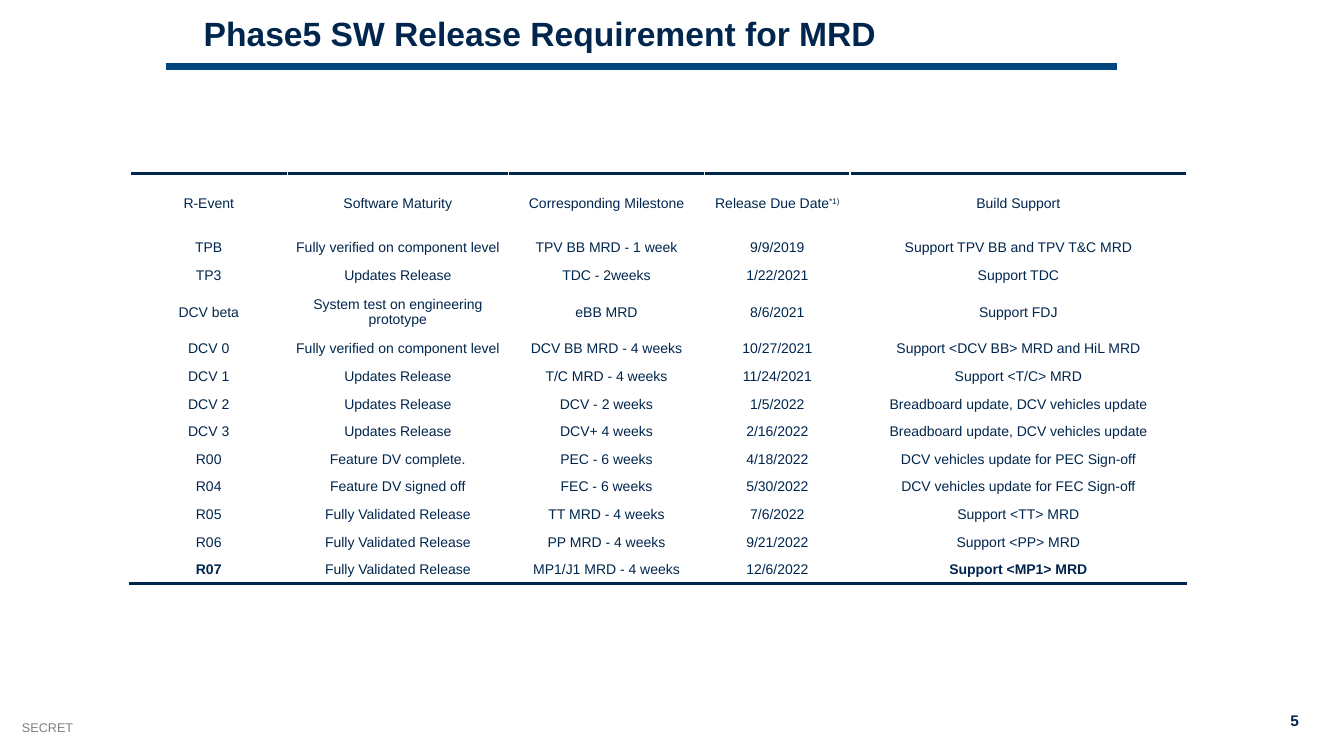
from lxml import etree
from pptx import Presentation
from pptx.dml.color import RGBColor
from pptx.enum.shapes import MSO_CONNECTOR
from pptx.enum.text import MSO_ANCHOR, MSO_AUTO_SIZE, PP_ALIGN
from pptx.oxml.ns import qn
from pptx.util import Inches, Pt

LEFT, CENTER, RIGHT = PP_ALIGN.LEFT, PP_ALIGN.CENTER, PP_ALIGN.RIGHT
TOP, MIDDLE = MSO_ANCHOR.TOP, MSO_ANCHOR.MIDDLE
STRAIGHT = MSO_CONNECTOR.STRAIGHT
TITLE_ONLY = 5

COLORS = {"navy": "00264E", "blue": "00457E", "gray": "808080", "white": "FFFFFF"}

TITLE_FORMAT = {"size": Pt(24), "bold": True, "name": "Arial"}
SECRET_FORMAT = {"size": Pt(9), "bold": False, "name": "Arial"}
NUMBER_FORMAT = {"size": Pt(11), "bold": True, "name": "Arial"}
CELL_FORMAT = {"size": Pt(10), "bold": False, "name": "Arial"}

COLUMN_WIDTHS = [1.56, 2.19, 1.95, 1.44, 3.34]
TABLE_HEIGHT, HEADER_HEIGHT, TALL_HEIGHT = 4.07, 0.6, 0.46
TALL_ROW = 3
FOOTNOTE_MARK = "*1)"
BOLD_CELLS = {"R07", "Support <MP1> MRD"}

RELEASES = [
    ["R-Event", "Software Maturity", "Corresponding Milestone",
     "Release Due Date" + FOOTNOTE_MARK, "Build Support"],
    ["TPB", "Fully verified on component level", "TPV BB MRD - 1 week",
     "9/9/2019", "Support TPV BB and TPV T&C MRD"],
    ["TP3", "Updates Release", "TDC - 2weeks", "1/22/2021", "Support TDC"],
    ["DCV beta", "System test on engineering prototype", "eBB MRD",
     "8/6/2021", "Support FDJ"],
    ["DCV 0", "Fully verified on component level", "DCV BB MRD - 4 weeks",
     "10/27/2021", "Support <DCV BB> MRD and HiL MRD"],
    ["DCV 1", "Updates Release", "T/C MRD - 4 weeks", "11/24/2021",
     "Support <T/C> MRD"],
    ["DCV 2", "Updates Release", "DCV - 2 weeks", "1/5/2022",
     "Breadboard update, DCV vehicles update"],
    ["DCV 3", "Updates Release", "DCV+ 4 weeks", "2/16/2022",
     "Breadboard update, DCV vehicles update"],
    ["R00", "Feature DV complete.", "PEC - 6 weeks", "4/18/2022",
     "DCV vehicles update for PEC Sign-off"],
    ["R04", "Feature DV signed off", "FEC - 6 weeks", "5/30/2022",
     "DCV vehicles update for FEC Sign-off"],
    ["R05", "Fully Validated Release", "TT MRD - 4 weeks", "7/6/2022",
     "Support <TT> MRD"],
    ["R06", "Fully Validated Release", "PP MRD - 4 weeks", "9/21/2022",
     "Support <PP> MRD"],
    ["R07", "Fully Validated Release", "MP1/J1 MRD - 4 weeks", "12/6/2022",
     "Support <MP1> MRD"],
]


def color(name):
    return RGBColor.from_string(COLORS[name])


def add_span(para, text, values, color_name):
    span = para.add_run()
    span.text = text
    for key, value in values.items():
        setattr(span.font, key, value)
    span.font.color.rgb = color(color_name)
    return span


def set_title(page, text):
    title = page.shapes.title
    title.left, title.top = Inches(1.92), Inches(0.12)
    title.width, title.height = Inches(11.85), Inches(0.63)
    frame = title.text_frame
    frame.vertical_anchor = TOP
    frame.auto_size = MSO_AUTO_SIZE.NONE
    para = frame.paragraphs[0]
    para.alignment = LEFT
    para.line_spacing = 0.9
    add_span(para, text, TITLE_FORMAT, "navy")


def add_label(page, text, place, values, color_name, alignment):
    box = page.shapes.add_textbox(*[Inches(length) for length in place])
    box.text_frame.word_wrap = True
    para = box.text_frame.paragraphs[0]
    para.alignment = alignment
    add_span(para, text, values, color_name)


def add_rule(page, left, right, top):
    rule = page.shapes.add_connector(
        STRAIGHT, Inches(left), Inches(top), Inches(right), Inches(top))
    rule.line.color.rgb = color("blue")
    rule.line.width = Pt(4.5)
    etree.SubElement(rule._element.spPr, qn("a:effectLst"))


def add_border(cell, side):
    border = etree.Element(qn("a:" + side), w=str(Pt(2)))
    fill = etree.SubElement(border, qn("a:solidFill"))
    etree.SubElement(fill, qn("a:srgbClr"), val=COLORS["navy"])
    cell._tc.get_or_add_tcPr().insert(0, border)


def fill_cell(cell, text):
    cell.fill.solid()
    cell.fill.fore_color.rgb = color("white")
    cell.vertical_anchor = MIDDLE
    for side in ("left", "right", "top", "bottom"):
        setattr(cell, "margin_" + side, 0)
    para = cell.text_frame.paragraphs[0]
    para.alignment = CENTER
    values = {**CELL_FORMAT, "bold": text in BOLD_CELLS}
    add_span(para, text.removesuffix(FOOTNOTE_MARK), values, "navy")
    if text.endswith(FOOTNOTE_MARK):
        mark = add_span(para, FOOTNOTE_MARK, values, "navy")
        mark.font._element.set("baseline", "30000")


def add_release_table(page):
    last = len(RELEASES) - 1
    table = page.shapes.add_table(
        len(RELEASES), len(COLUMN_WIDTHS), Inches(1.29), Inches(1.72),
        Inches(sum(COLUMN_WIDTHS)), Inches(TABLE_HEIGHT)).table
    table.first_row = table.horz_banding = False
    for column, width in zip(table.columns, COLUMN_WIDTHS):
        column.width = Inches(width)

    # The header and the two-line row are taller; the rest share what is left
    special = {0: HEADER_HEIGHT, TALL_ROW: TALL_HEIGHT}
    plain = (TABLE_HEIGHT - sum(special.values())) / (len(RELEASES) - len(special))
    for index, texts in enumerate(RELEASES):
        table.rows[index].height = Inches(special.get(index, plain))
        for cell, text in zip(table.rows[index].cells, texts):
            fill_cell(cell, text)
            if index == 0:
                add_border(cell, "lnT")
            elif index == last:
                add_border(cell, "lnB")


def main():
    deck = Presentation()
    deck.slide_width, deck.slide_height = Inches(13.33), Inches(7.5)
    page = deck.slides.add_slide(deck.slide_layouts[TITLE_ONLY])

    # Footer
    add_label(page, "SECRET", (0.12, 7.09, 3, 0.25), SECRET_FORMAT, "gray", LEFT)
    add_label(page, "5", (12.59, 7.01, 0.39, 0.29), NUMBER_FORMAT, "navy", RIGHT)

    # Heading
    add_rule(page, 1.65, 11.08, 0.66)
    set_title(page, "Phase5 SW Release Requirement for MRD")

    # Release plan
    add_release_table(page)
    deck.save("out.pptx")


if __name__ == "__main__":
    main()
